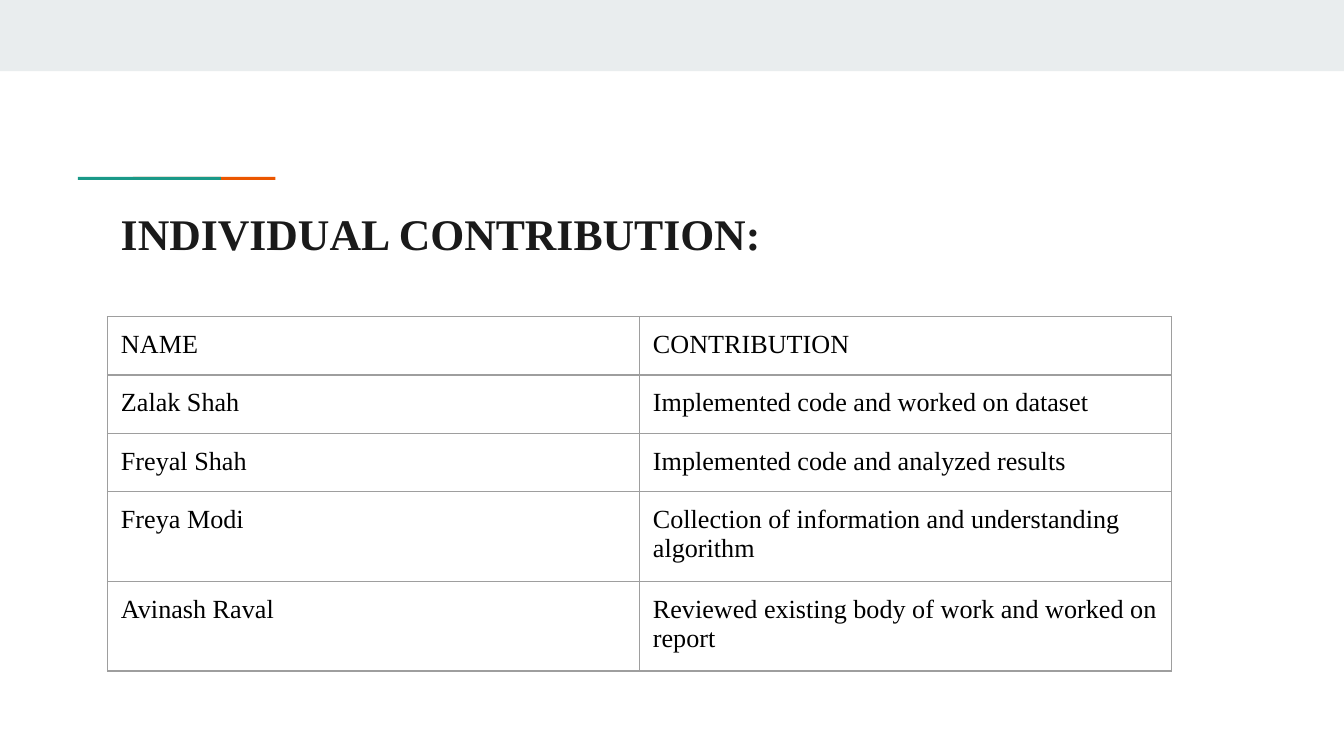
"""Build the individual contribution slide."""
from lxml import etree
from pptx import Presentation
from pptx.dml.color import RGBColor
from pptx.enum import shapes, text
from pptx.oxml import ns
from pptx.util import Pt


def color(value):
    return RGBColor.from_string(value)


def set_borders(cell, value, width):
    properties = cell._tc.get_or_add_tcPr()
    for position, side in enumerate(("lnL", "lnR", "lnT", "lnB")):
        line = etree.Element(ns.qn(f"a:{side}"), w=str(Pt(width)))
        fill = etree.SubElement(line, ns.qn("a:solidFill"))
        etree.SubElement(fill, ns.qn("a:srgbClr"), val=value)
        properties.insert(position, line)


FONT = "Times New Roman"
INSET = Pt(7.2)
ROWS = [
    ("NAME", "CONTRIBUTION"),
    ("Zalak Shah", "Implemented code and worked on dataset"),
    ("Freyal Shah", "Implemented code and analyzed results"),
    ("Freya Modi", "Collection of information and understanding algorithm"),
    ("Avinash Raval", "Reviewed existing body of work and worked on report"),
]

deck = Presentation()
deck.slide_width, deck.slide_height = Pt(720), Pt(405)
page = deck.slides.add_slide(deck.slide_layouts[6])

bars = [
    (0, 0, 720, 38.2, "E9EDEE"),
    (71.2, 94.8, 76.3, 1.6, "EB5600"),
    (41.8, 94.8, 76.6, 1.6, "1A9988"),
]
for left, top, width, height, fill in bars:
    bar = page.shapes.add_shape(
        shapes.MSO_SHAPE.RECTANGLE, Pt(left), Pt(top), Pt(width), Pt(height))
    bar.shadow.inherit = False
    bar.fill.solid()
    bar.fill.fore_color.rgb = color(fill)
    bar.line.fill.background()

title = page.shapes.add_textbox(Pt(57.6), Pt(103.7), Pt(605.5), Pt(42.5))
frame = title.text_frame
frame.word_wrap = True
frame.vertical_anchor = text.MSO_ANCHOR.BOTTOM
frame.margin_left = frame.margin_right = INSET
frame.margin_top = frame.margin_bottom = INSET
heading = frame.paragraphs[0]
heading.text = "INDIVIDUAL CONTRIBUTION:"
heading.font.name = FONT
heading.font.size = Pt(23.4)
heading.font.bold = True
heading.font.color.rgb = color("1A1A1A")

table = page.shapes.add_table(
    len(ROWS), 2, Pt(57.6), Pt(169.7), Pt(570), Pt(150)).table
table.first_row = table.horz_banding = False
for row, values in zip(table.rows, ROWS):
    row.height = Pt(30)
    for cell, value in zip(row.cells, values):
        cell.fill.background()
        set_borders(cell, "9E9E9E", 0.75)
        cell.margin_left = cell.margin_right = INSET
        cell.margin_top = cell.margin_bottom = INSET
        para = cell.text_frame.paragraphs[0]
        para.text = value
        para.font.name = FONT
        para.font.size = Pt(14)
        para.font.color.rgb = color("000000")

deck.save("out.pptx")
